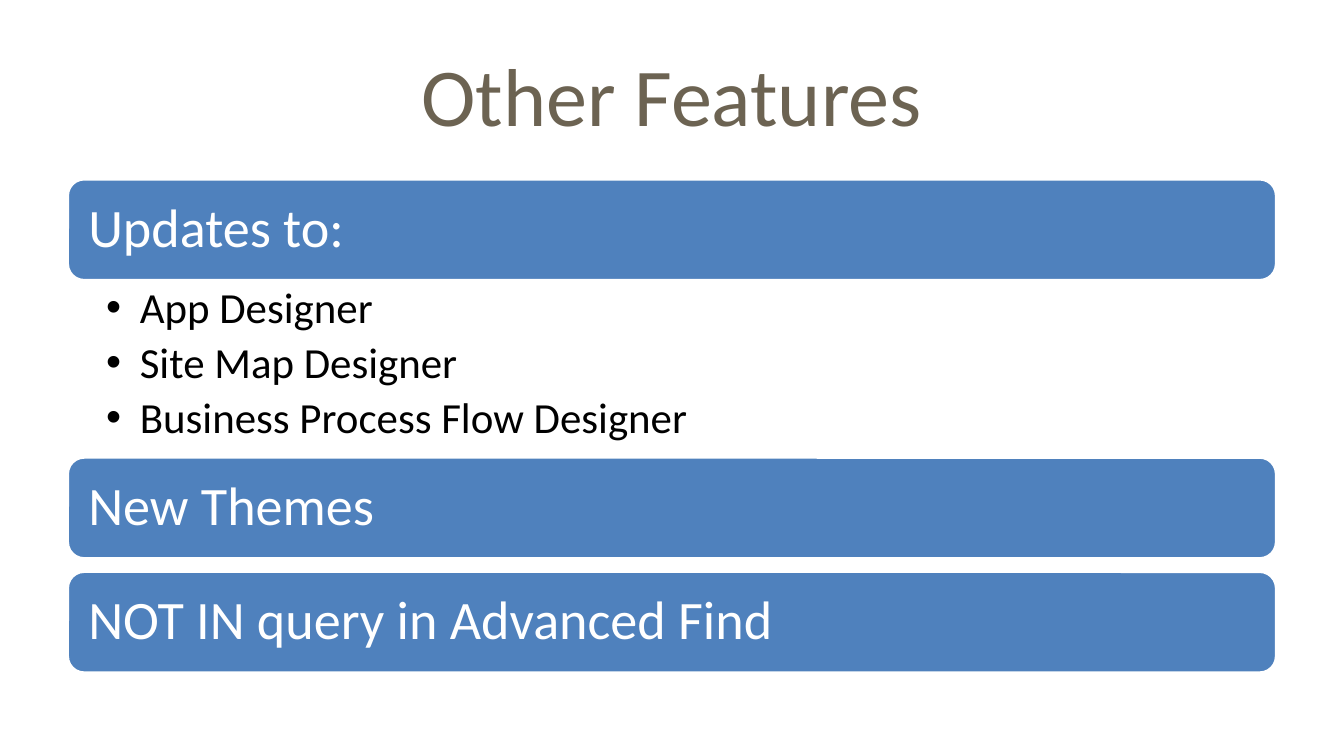
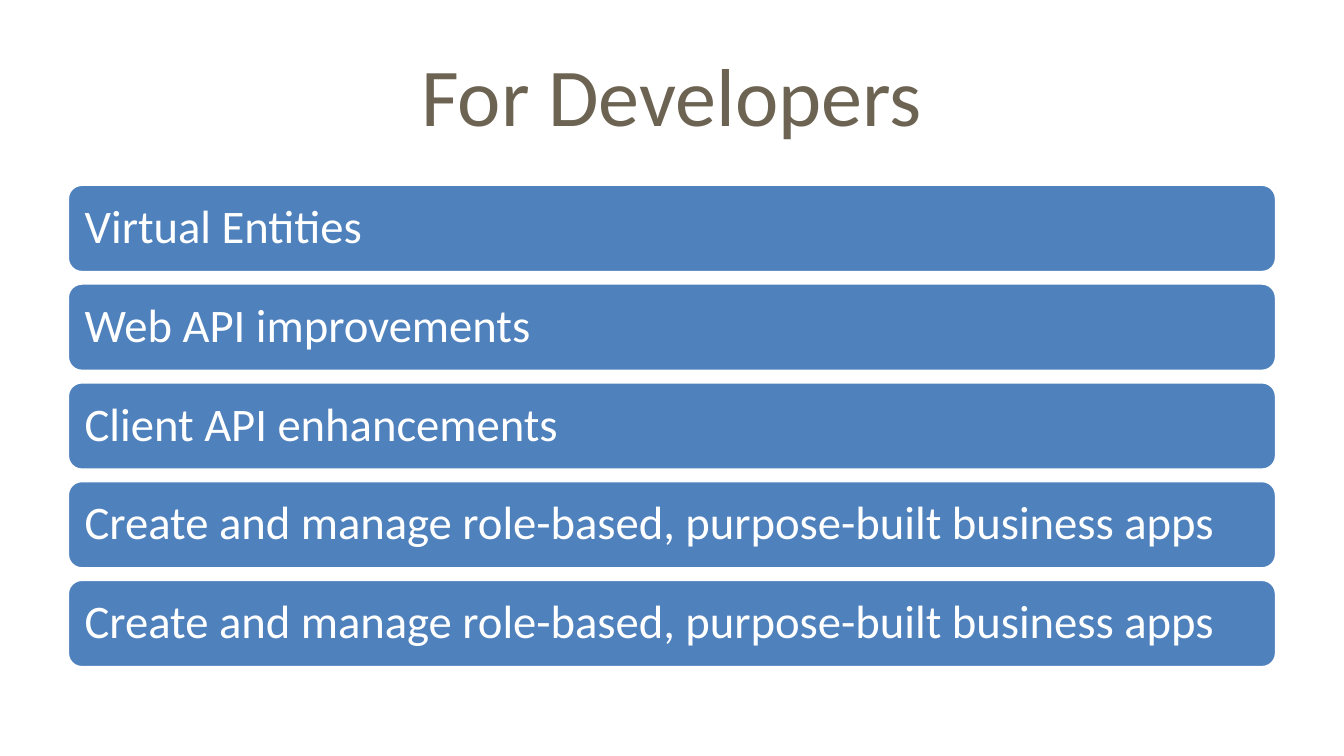
from dataclasses import dataclass

from lxml import etree
from pptx import Presentation
from pptx import util as u
from pptx.dml.color import RGBColor
from pptx.enum import shapes, text
from pptx.oxml import ns

# Shared style
COLORS = {"title": "6C6352", "bar": "4F81BD", "light": "FFFFFF", "dark": "000000"}
FONT = "Calibri"
SLIDE_WIDTH = u.Inches(10)
SLIDE_HEIGHT = SLIDE_WIDTH * 9 // 16
LEFT, WIDTH = u.Inches(0.5), u.Inches(9)
TITLE_AND_BODY, TITLE_ONLY = 1, 5


@dataclass(frozen=True)
class Topic:
    heading: str
    details: tuple[str, ...] = ()


@dataclass(frozen=True)
class TopicSlide:
    title: str
    topics: tuple[Topic, ...]
    top: float
    bottom: float
    bar_height: float
    inset: float
    size: int
    details_height: float = 0


SLIDES = (
    TopicSlide(
        "Other Features",
        (
            Topic("Updates to:", ("App Designer", "Site Map Designer",
                                  "Business Process Flow Designer")),
            Topic("New Themes"),
            Topic("NOT IN query in Advanced Find"),
        ),
        top=1.33, bottom=5.01, bar_height=0.76, inset=0.12, size=29,
        details_height=1.31,
    ),
    TopicSlide(
        "For Developers",
        (
            Topic("Virtual Entities"),
            Topic("Web API improvements"),
            Topic("Client API enhancements"),
            Topic("Create and manage role-based, purpose-built business apps"),
            Topic("Create and manage role-based, purpose-built business apps"),
        ),
        top=1.37, bottom=4.97, bar_height=0.66, inset=0.1, size=25,
    ),
)


def color(name: str) -> RGBColor:
    return RGBColor.from_string(COLORS[name])


def place(shape, top: float, height: float) -> None:
    shape.left, shape.top = LEFT, u.Inches(top)
    shape.width, shape.height = WIDTH, u.Inches(height)


def set_insets(frame, left: float, top: float, right: float, bottom: float) -> None:
    frame.margin_left, frame.margin_top = u.Inches(left), u.Inches(top)
    frame.margin_right, frame.margin_bottom = u.Inches(right), u.Inches(bottom)


def set_font(paragraph, size: int, color_name: str) -> None:
    paragraph.font.name = FONT
    paragraph.font.size = u.Pt(size)
    paragraph.font.color.rgb = color(color_name)


def add_title(slide, title: str) -> None:
    place(slide.shapes.title, 0.23, 0.94)
    frame = slide.shapes.title.text_frame
    frame.text = title
    frame.auto_size = text.MSO_AUTO_SIZE.NONE
    frame.vertical_anchor = text.MSO_ANCHOR.MIDDLE
    frame.paragraphs[0].alignment = text.PP_ALIGN.CENTER
    set_font(frame.paragraphs[0], 44, "title")


def add_bar(slide, heading: str, top: float, style: TopicSlide) -> None:
    bar = slide.shapes.add_shape(
        shapes.MSO_SHAPE.ROUNDED_RECTANGLE,
        LEFT, u.Inches(top), WIDTH, u.Inches(style.bar_height))
    bar.shadow.inherit = False
    bar.fill.solid()
    bar.fill.fore_color.rgb = color("bar")
    bar.line.color.rgb = color("light")
    bar.line.width = u.Pt(2)
    frame = bar.text_frame
    frame.word_wrap = True
    frame.vertical_anchor = text.MSO_ANCHOR.MIDDLE
    set_insets(frame, *[style.inset] * 4)
    paragraph = frame.paragraphs[0]
    paragraph.text = heading
    paragraph.alignment = text.PP_ALIGN.LEFT
    paragraph.line_spacing = 0.9
    set_font(paragraph, style.size, "light")


def fill_details(body, details: tuple[str, ...], top: float, height: float) -> None:
    place(body, top, height)
    frame = body.text_frame
    frame.text = "\n".join(details)
    frame.auto_size = text.MSO_AUTO_SIZE.NONE
    frame.vertical_anchor = text.MSO_ANCHOR.TOP
    set_insets(frame, 0.29, 0.04, 0.23, 0.04)
    for paragraph in frame.paragraphs:
        paragraph.level = 1
        paragraph.line_spacing = 0.9
        paragraph.space_before = u.Pt(0)
        paragraph.space_after = u.Pt(4.6)
        # Round bullet with a hanging indent
        properties = paragraph._p.get_or_add_pPr()
        properties.set("marL", str(u.Inches(0.25)))
        properties.set("indent", str(-u.Inches(0.25)))
        etree.SubElement(properties, ns.qn("a:buChar")).set("char", "•")
        set_font(paragraph, 23, "dark")


def add_topic_slide(deck, content: TopicSlide) -> None:
    has_details = any(topic.details for topic in content.topics)
    layout = deck.slide_layouts[TITLE_AND_BODY if has_details else TITLE_ONLY]
    slide = deck.slides.add_slide(layout)
    add_title(slide, content.title)

    # Bars share the height left over; details sit directly between two bars
    gaps = sum(not topic.details for topic in content.topics[:-1])
    used = len(content.topics) * content.bar_height + content.details_height
    gap = (content.bottom - content.top - used) / gaps
    top = content.top
    for topic in content.topics:
        add_bar(slide, topic.heading, top, content)
        top += content.bar_height
        if topic.details:
            fill_details(slide.placeholders[1], topic.details, top,
                         content.details_height)
            top += content.details_height
        else:
            top += gap


def main() -> None:
    deck = Presentation()
    deck.slide_width, deck.slide_height = SLIDE_WIDTH, SLIDE_HEIGHT
    for content in SLIDES:
        add_topic_slide(deck, content)
    deck.save("out.pptx")


if __name__ == "__main__":
    main()
